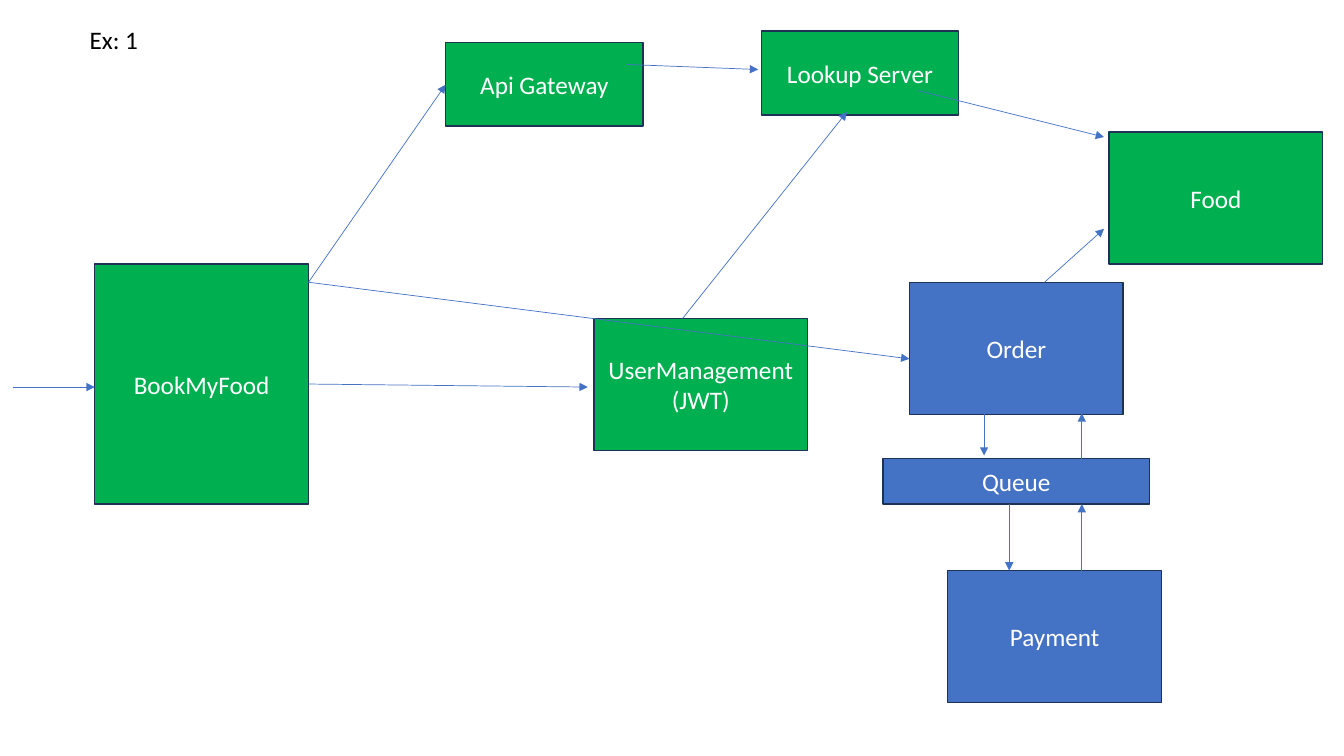
from lxml.etree import SubElement
from pptx import Presentation
from pptx.dml.color import RGBColor
from pptx.enum.shapes import MSO_CONNECTOR, MSO_SHAPE
from pptx.enum.text import MSO_ANCHOR, PP_ALIGN
from pptx.oxml.ns import qn
from pptx.util import Inches, Pt

COLORS = {
    "green": "00B050",
    "blue": "4472C4",
    "outline": "1E3256",
    "white": "FFFFFF",
    "black": "000000",
}
FONT = "Calibri"

# Services: (left, top, width, height), fill
SERVICES = {
    "UserManagement\n(JWT)": ((5.89, 3.16, 2.12, 1.31), "green"),
    "Lookup Server": ((7.55, 0.31, 1.96, 0.83), "green"),
    "Api Gateway": ((4.42, 0.42, 1.96, 0.83), "green"),
    "Food": ((11, 1.31, 2.12, 1.31), "green"),
    "Payment": ((9.4, 5.66, 2.12, 1.31), "blue"),
    "BookMyFood": ((0.94, 2.62, 2.12, 2.38), "green"),
    "Order": ((9.02, 2.8, 2.12, 1.31), "blue"),
    "Queue": ((8.76, 4.55, 2.64, 0.45), "blue"),
}

# Calls: each end is a service and an offset from its top left corner
CALLS = [
    (("BookMyFood", 2.12, 1.19), ("UserManagement\n(JWT)", -0.06, 0.68)),
    (("BookMyFood", -0.81, 1.22), ("BookMyFood", 0, 1.22)),
    (("BookMyFood", 2.12, 0.18), ("Order", 0, 0.76)),
    (("Order", 0.74, 1.31), ("Queue", 1, -0.03)),
    (("Queue", 1.25, 0.45), ("Payment", 0.61, 0)),
    (("Payment", 1.33, 0), ("Queue", 1.97, 0.45)),
    (("Queue", 1.97, 0.21), ("Order", 1.71, 1.3)),
    (("Order", 1.34, 0), ("Food", -0.05, 0.96)),
    (("BookMyFood", 2.12, 0.18), ("Api Gateway", 0, 0.42)),
    (("UserManagement\n(JWT)", 0.88, 0), ("Lookup Server", 0.85, 0.8)),
    (("Api Gateway", 1.8, 0.22), ("Lookup Server", -0.03, 0.38)),
    (("Lookup Server", 1.56, 0.59), ("Food", -0.05, 0.05)),
]


def rgb(name):
    return RGBColor.from_string(COLORS[name])


def write(frame, text, color, align):
    frame.text = text
    frame.word_wrap = True
    for paragraph in frame.paragraphs:
        paragraph.alignment = align
        for run in paragraph.runs:
            run.font.name = FONT
            run.font.size = Pt(18)
            run.font.color.rgb = rgb(color)


def add_title(slide, box):
    title = slide.shapes.add_textbox(*map(Inches, box))
    write(title.text_frame, "Ex: 1", "black", PP_ALIGN.LEFT)


def add_service(slide, name, box, fill):
    service = slide.shapes.add_shape(MSO_SHAPE.RECTANGLE, *map(Inches, box))
    service.shadow.inherit = False
    service.fill.solid()
    service.fill.fore_color.rgb = rgb(fill)
    service.line.color.rgb = rgb("outline")
    service.line.width = Pt(1)
    service.text_frame.vertical_anchor = MSO_ANCHOR.MIDDLE
    write(service.text_frame, name, "white", PP_ALIGN.CENTER)


def locate(end):
    name, dx, dy = end
    left, top = SERVICES[name][0][:2]
    return Inches(left + dx), Inches(top + dy)


def add_call(slide, caller, target):
    call = slide.shapes.add_connector(
        MSO_CONNECTOR.STRAIGHT, *locate(caller), *locate(target))
    call.line.color.rgb = rgb("blue")
    call.line.width = Pt(0.5)
    # Arrowhead at the target, no shadow
    SubElement(call.line._get_or_add_ln(), qn("a:tailEnd"), type="triangle")
    SubElement(call._element.spPr, qn("a:effectLst"))


def add_architecture(slide):
    for name, (box, fill) in SERVICES.items():
        add_service(slide, name, box, fill)
    for caller, target in CALLS:
        add_call(slide, caller, target)


def main():
    deck = Presentation()
    deck.slide_width, deck.slide_height = Inches(13.33), Inches(7.5)
    slide = deck.slides.add_slide(deck.slide_layouts[6])
    add_architecture(slide)
    add_title(slide, (0.79, 0.19, 2.66, 0.4))
    deck.save("out.pptx")


if __name__ == "__main__":
    main()
